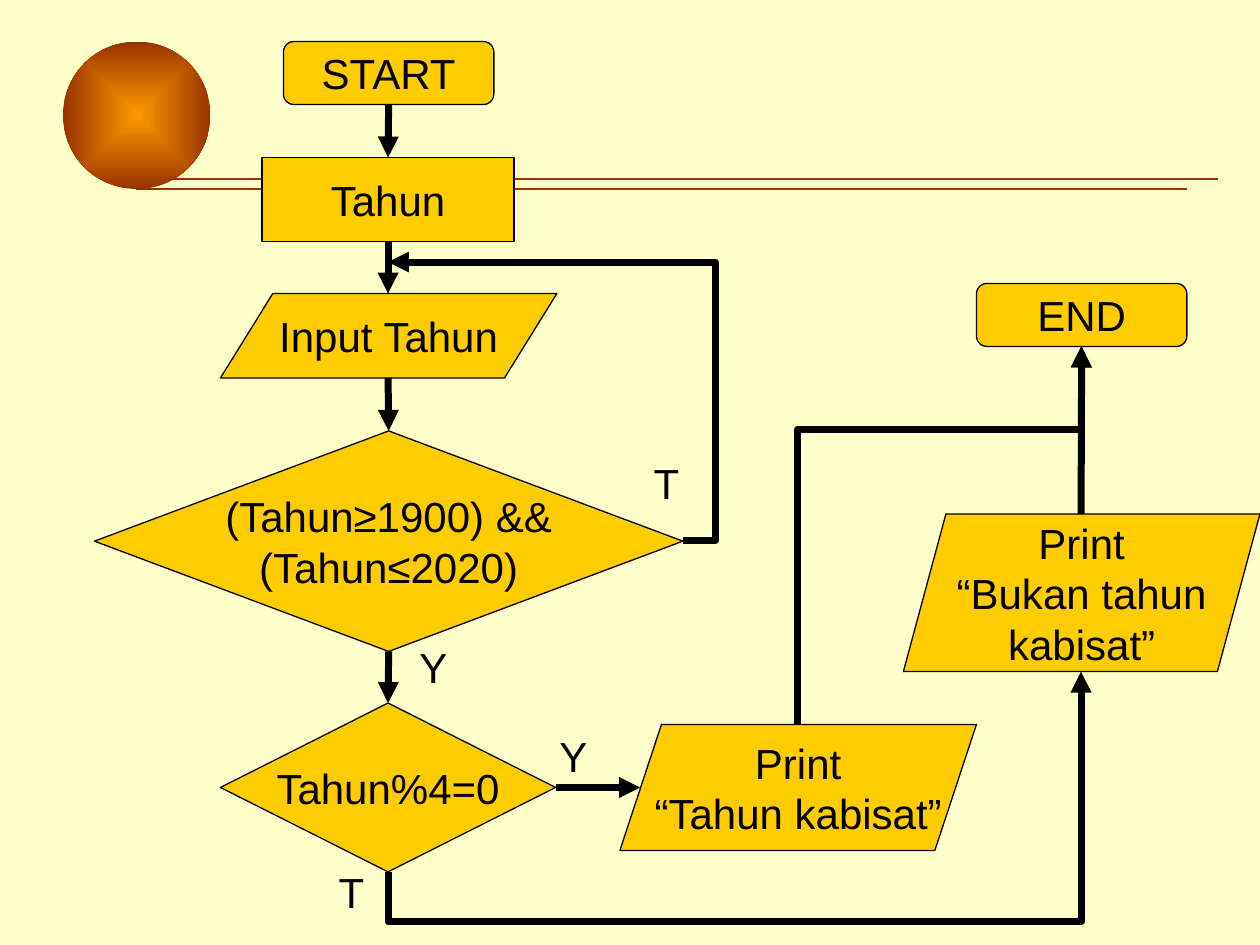
from lxml import etree
from pptx import Presentation
from pptx import util as u
from pptx.dml.color import RGBColor
from pptx.enum import shapes, text
from pptx.oxml import parse_xml
from pptx.oxml.ns import nsdecls, qn

HUES = {"page": "FFFFCC", "box": "FFCC00", "ink": "000000",
        "rule": "993300", "glow": "FF9900"}
KIND = shapes.MSO_SHAPE
LINK = shapes.MSO_CONNECTOR
TOP, LEFT, BOTTOM, RIGHT = range(4)


def hue(name):
    return RGBColor.from_string(HUES[name])


def write(frame, words, size=24, font="Arial", color="ink", align=None):
    frame.word_wrap = False
    frame.text = words
    for par in frame.paragraphs:
        par.alignment = align
        for run in par.runs:
            run.font.size = u.Pt(size)
            run.font.name = font
            run.font.color.rgb = hue(color)


class Chart:
    """Flowchart style and the slide it is drawn on."""

    thin, thick = 0.75, 4

    def __init__(self, slide):
        self.slide = slide
        slide.background.fill.solid()
        slide.background.fill.fore_color.rgb = hue("page")

    def ball(self, *area):
        oval = self.slide.shapes.add_shape(KIND.OVAL, *map(u.Inches, area))
        oval.shadow.inherit = False
        oval.line.fill.background()
        oval.fill.gradient()
        for stop, name in zip(oval.fill.gradient_stops, ("glow", "rule")):
            stop.color.rgb = hue(name)
        grad = oval.element.spPr.find(qn("a:gradFill"))
        grad.replace(grad.find(qn("a:lin")), parse_xml(
            f'<a:path {nsdecls("a")} path="rect"><a:fillToRect '
            'l="50000" t="50000" r="50000" b="50000"/></a:path>'))

    def box(self, kind, words, area, slant=None):
        node = self.slide.shapes.add_shape(kind, *map(u.Inches, area))
        node.shadow.inherit = False
        node.fill.solid()
        node.fill.fore_color.rgb = hue("box")
        node.line.color.rgb = hue("ink")
        node.line.width = u.Pt(self.thin)
        if slant is not None:
            node.adjustments[0] = slant
        node.text_frame.vertical_anchor = text.MSO_ANCHOR.MIDDLE
        write(node.text_frame, words, align=text.PP_ALIGN.CENTER)
        return node

    def label(self, words, *area):
        note = self.slide.shapes.add_textbox(*map(u.Inches, area))
        write(note.text_frame, words)
        note.text_frame.auto_size = text.MSO_AUTO_SIZE.SHAPE_TO_FIT_TEXT

    def line(self, start, end, kind=LINK.STRAIGHT, color="ink", width=thick,
             head=True):
        link = self.slide.shapes.add_connector(
            kind, *map(u.Inches, (*start, *end)))
        link.line.color.rgb = hue(color)
        link.line.width = u.Pt(width)
        if head:
            etree.SubElement(link.line._get_or_add_ln(), qn("a:tailEnd"),
                             type="triangle")
        etree.SubElement(link.element.spPr, qn("a:effectLst"))
        return link

    def arrow(self, start, end, source=None, target=None):
        """Straight arrow; source and target are (shape, side) pairs."""
        link = self.line(start, end)
        if source:
            link.begin_connect(*source)
        if target:
            link.end_connect(*target)

    def bend(self, start, end, turn, upright=False):
        """Elbow arrow; turn places its middle leg, upright leaves vertically."""
        if upright:
            # A quarter turn swaps width and height about the centre
            (x1, y1), (x2, y2) = start, end
            mx, my = (x1 + x2) / 2, (y1 + y2) / 2
            dx, dy = abs(y1 - y2) / 2, abs(x1 - x2) / 2
            start, end = (mx + dx, my + dy), (mx - dx, my - dy)
        link = self.line(start, end, LINK.ELBOW)
        props = link.element.spPr
        if upright:
            props.find(qn("a:xfrm")).set("rot", "5400000")
        guides = props.find(qn("a:prstGeom")).get_or_add_avLst()
        etree.SubElement(guides, qn("a:gd"), name="adj1",
                         fmla=f"val {round(turn * 100000)}")


def main():
    deck = Presentation()
    deck.slide_width, deck.slide_height = u.Inches(10), u.Inches(7.5)
    flow = Chart(deck.slides.add_slide(deck.slide_layouts[6]))
    mid, far = 3.08, 8.58  # the two vertical axes

    # Ball and double rule
    flow.ball(0.5, 0.33, 1.17, 1.17)
    for x1, x2, y in ((1.08, 9.42, 1.5), (1.33, 9.67, 1.42)):
        flow.line((x1, y), (x2, y), color="rule", width=flow.thin, head=False)

    # Steps
    first = flow.box(KIND.ROUNDED_RECTANGLE, "START", (2.25, 0.33, 1.67, 0.5))
    year = flow.box(KIND.RECTANGLE, "Tahun", (2.08, 1.25, 2, 0.67))
    flow.box(KIND.PARALLELOGRAM, "Input Tahun", (1.75, 2.33, 2.67, 0.67), 0.62)
    flow.box(KIND.PARALLELOGRAM, "Print\n“Tahun kabisat”",
             (4.92, 5.75, 2.83, 1), 0.33)
    last = flow.box(KIND.ROUNDED_RECTANGLE, "END", (7.75, 2.25, 1.67, 0.5))
    leap = flow.box(KIND.DIAMOND, "Tahun%4=0", (1.75, 5.58, 2.66, 1.34))
    span = flow.box(KIND.DIAMOND, "(Tahun≥1900) &&\n(Tahun≤2020)",
                    (0.75, 3.42, 4.67, 1.75))
    flow.box(KIND.PARALLELOGRAM, "Print\n“Bukan tahun\nkabisat”",
             (7.17, 4.08, 2.83, 1.25), 0.27)

    # Straight arrows
    flow.arrow((mid, 0.83), (mid, 1.25), (first, BOTTOM), (year, TOP))
    flow.arrow((mid, 1.92), (mid, 2.33), (year, BOTTOM))
    flow.arrow((mid, 3), (mid, 3.42), target=(span, TOP))
    flow.arrow((mid, 5.17), (mid, 5.58), (span, BOTTOM), (leap, TOP))
    flow.arrow((4.41, 6.25), (5.08, 6.25), (leap, RIGHT))
    flow.arrow((far, 4.08), (far, 2.75), target=(last, BOTTOM))

    # Elbow arrows
    flow.bend((mid, 6.92), (far, 5.33), -0.25, upright=True)
    flow.bend((5.42, 4.29), (mid, 2.08), -0.11)
    flow.bend((6.33, 5.75), (far, 2.75), 0.78, upright=True)

    # Branch labels
    for words, x, y, wide in (("Y", 3.23, 5.04, 0.42), ("T", 5.09, 3.58, 0.4),
                              ("Y", 4.34, 5.75, 0.42), ("T", 2.59, 6.83, 0.4)):
        flow.label(words, x, y, wide, 0.5)

    deck.save("out.pptx")


if __name__ == "__main__":
    main()
